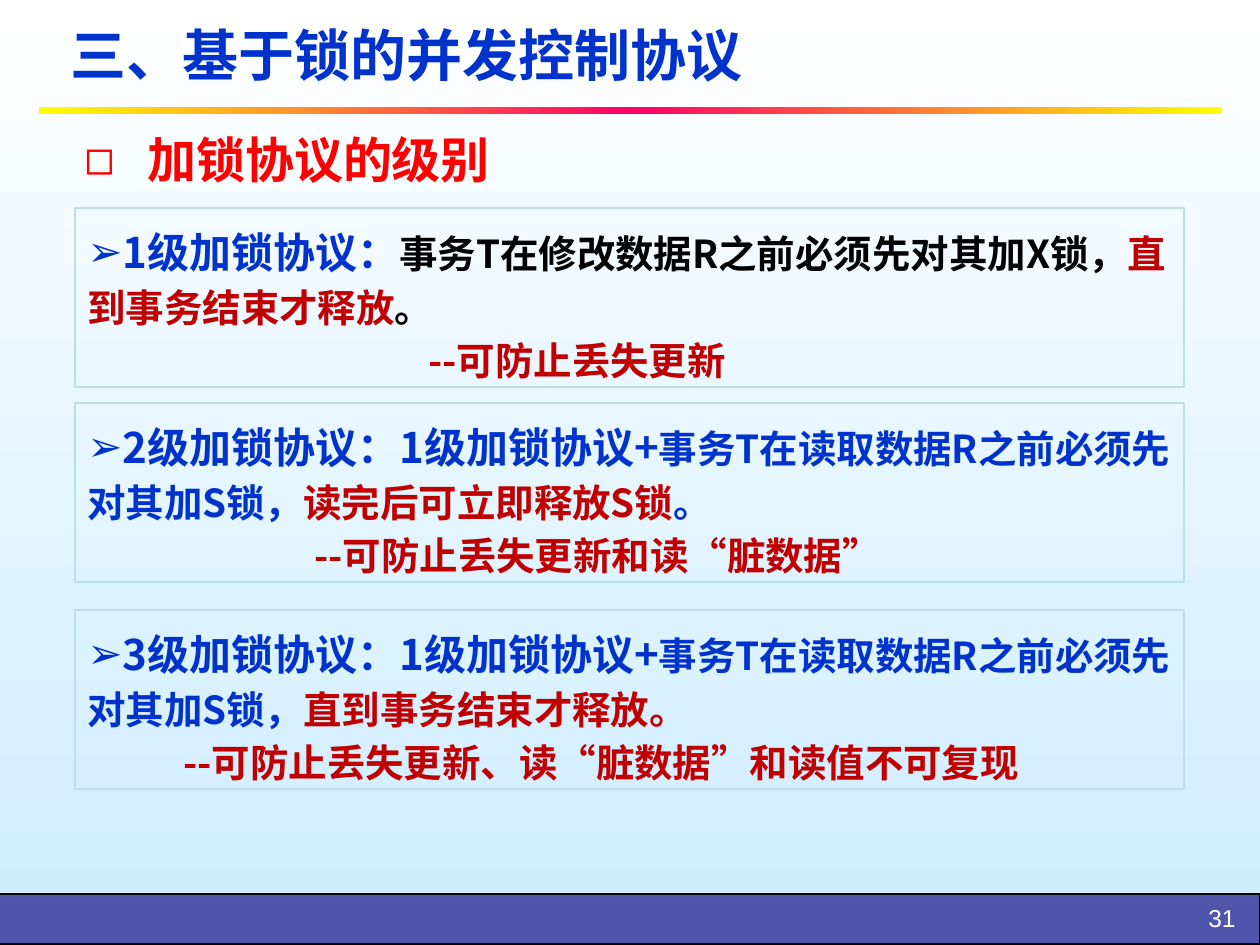
import copy
import pptx
import pptx.util
import pptx.dml.color
import pptx.enum.shapes
import pptx.enum.text
import pptx.oxml.ns
import lxml.etree

COLORS = {
    "white": "FFFFFF", "sky": "CCECFF", "blue": "0033CC", "red": "FF0000",
    "dark_red": "C00000", "black": "000000", "yellow": "FFFF00",
    "pink": "FF0066", "footer": "333399", "border": "BBE0E3",
}
CJK = "Noto Sans CJK SC"
TITLE = "三、基于锁的并发控制协议"
SUBTITLE = "加锁协议的级别"
PAGE_NUMBER = "31"
READ_RULE = "事务T在读取数据R之前必须先对其加S锁，"
PROTOCOLS = [
    {"top": 208, "indent": 341, "effect": "--可防止丢失更新", "rule": [
        ("1级加锁协议：", 24, "blue"),
        ("事务T在修改数据R之前必须先对其加X锁，", 22, "black"),
        ("直到事务结束才释放", 22, "dark_red"),
        ("。", 22, "black")]},
    {"top": 403, "indent": 227, "effect": "--可防止丢失更新和读“脏数据”", "rule": [
        ("2级加锁协议：1级加锁协议+", 24, "blue"),
        (READ_RULE, 22, "blue"),
        ("读完后可立即释放S锁", 22, "dark_red"),
        ("。", 22, "blue")]},
    {"top": 610, "indent": 96, "effect": "--可防止丢失更新、读“脏数据”和读值不可复现", "rule": [
        ("3级加锁协议：1级加锁协议+", 24, "blue"),
        (READ_RULE, 22, "blue"),
        ("直到事务结束才释放。", 22, "dark_red")]},
]


def px(value):
    return pptx.util.Emu(round(value * 914400 / 126))


def rgb(name):
    return pptx.dml.color.RGBColor.from_string(COLORS[name])


def add_element(parent, tag, **attributes):
    return lxml.etree.SubElement(parent, pptx.oxml.ns.qn(tag), **attributes)


def fill_gradient(fill, names, angle):
    fill.gradient()
    fill.gradient_angle = angle
    first = fill.gradient_stops[0]
    first.color.rgb = rgb(names[0])
    stop_list = fill._fill._gradFill.gsLst
    template = copy.deepcopy(stop_list[0])
    for stop in list(stop_list):
        stop_list.remove(stop)
    for index, name in enumerate(names):
        stop = copy.deepcopy(template)
        stop.set("pos", str(index * 100000 // (len(names) - 1)))
        stop[0].set("val", COLORS[name])
        stop_list.append(stop)


def add_rectangle(page, left, top, width, height):
    box = page.shapes.add_shape(
        pptx.enum.shapes.MSO_SHAPE.RECTANGLE, px(left), px(top), px(width), px(height))
    box.shadow.inherit = False
    box.line.fill.background()
    return box


def set_line(box, color):
    box.line.color.rgb = rgb(color)
    box.line.width = pptx.util.Pt(0.75)


def add_span(para, text, size=22, color="blue", font=CJK, bold=True):
    span = para.add_run()
    span.text = text
    span.font.size = pptx.util.Pt(size)
    span.font.bold = bold
    span.font.name = font
    span.font.color.rgb = rgb(color)
    add_element(span.font._element, "a:ea", typeface=CJK)


def format_para(para, align="LEFT", pitch=None, left=0, hang=0, bullet=None):
    properties = para._p.get_or_add_pPr()
    properties.set("marL", str(px(left)))
    properties.set("indent", str(-px(hang)))
    if bullet:
        add_element(properties, "a:buFont", typeface="Arial")
        add_element(properties, "a:buChar", char=bullet)
    para.alignment = getattr(pptx.enum.text.PP_ALIGN, align)
    if pitch:
        para.line_spacing = pptx.util.Pt(pitch)


def prepare_frame(box, anchor="TOP", top=6):
    frame = box.text_frame
    frame.word_wrap = True
    frame.auto_size = pptx.enum.text.MSO_AUTO_SIZE.NONE
    frame.vertical_anchor = getattr(pptx.enum.text.MSO_ANCHOR, anchor)
    frame.margin_top, frame.margin_bottom = px(top), px(4)
    return frame


def add_protocol(page, protocol):
    box = add_rectangle(page, 75, protocol["top"], 1109, 179)
    box.fill.background()
    set_line(box, "border")
    frame = prepare_frame(box, top=16)
    para = frame.paragraphs[0]
    format_para(para, pitch=30.25, bullet="➢")
    for text, size, color in protocol["rule"]:
        add_span(para, text, size=size, color=color)
    para = frame.add_paragraph()
    format_para(para, pitch=30.25, left=protocol["indent"])
    add_span(para, protocol["effect"], color="dark_red")


def main():
    deck = pptx.Presentation()
    deck.slide_width, deck.slide_height = px(1260), px(945)
    page = deck.slides.add_slide(deck.slide_layouts[5])
    fill_gradient(page.background.fill, ["white", "sky"], 270)

    footer = add_rectangle(page, -1, 894, 1261, 50)
    footer.fill.solid()
    footer.fill.fore_color.rgb = rgb("footer")
    color = footer.fill._xPr.find(".//" + pptx.oxml.ns.qn("a:srgbClr"))
    add_element(color, "a:alpha", val="81000")
    set_line(footer, "black")

    rule = add_rectangle(page, 39, 107, 1183, 7)
    fill_gradient(rule.fill, ["yellow", "pink", "yellow"], 0)

    number = page.shapes.add_textbox(px(1126), px(897), px(122), px(38))
    para = prepare_frame(number).paragraphs[0]
    format_para(para, align="RIGHT")
    add_span(para, PAGE_NUMBER, size=14, color="white", font="Arial", bold=False)

    for protocol in PROTOCOLS:
        add_protocol(page, protocol)

    subtitle = page.shapes.add_textbox(px(72), px(118), px(989), px(97))
    para = prepare_frame(subtitle).paragraphs[0]
    format_para(para, pitch=37, left=63, hang=63, bullet="◻")
    add_span(para, SUBTITLE, size=28, color="red")

    title = page.shapes.title
    title.left, title.top, title.width, title.height = px(58), px(6), px(1134), px(96)
    para = prepare_frame(title, anchor="MIDDLE", top=4).paragraphs[0]
    format_para(para)
    add_span(para, TITLE, size=32, font="Arial")

    deck.save("out.pptx")


if __name__ == "__main__":
    main()
